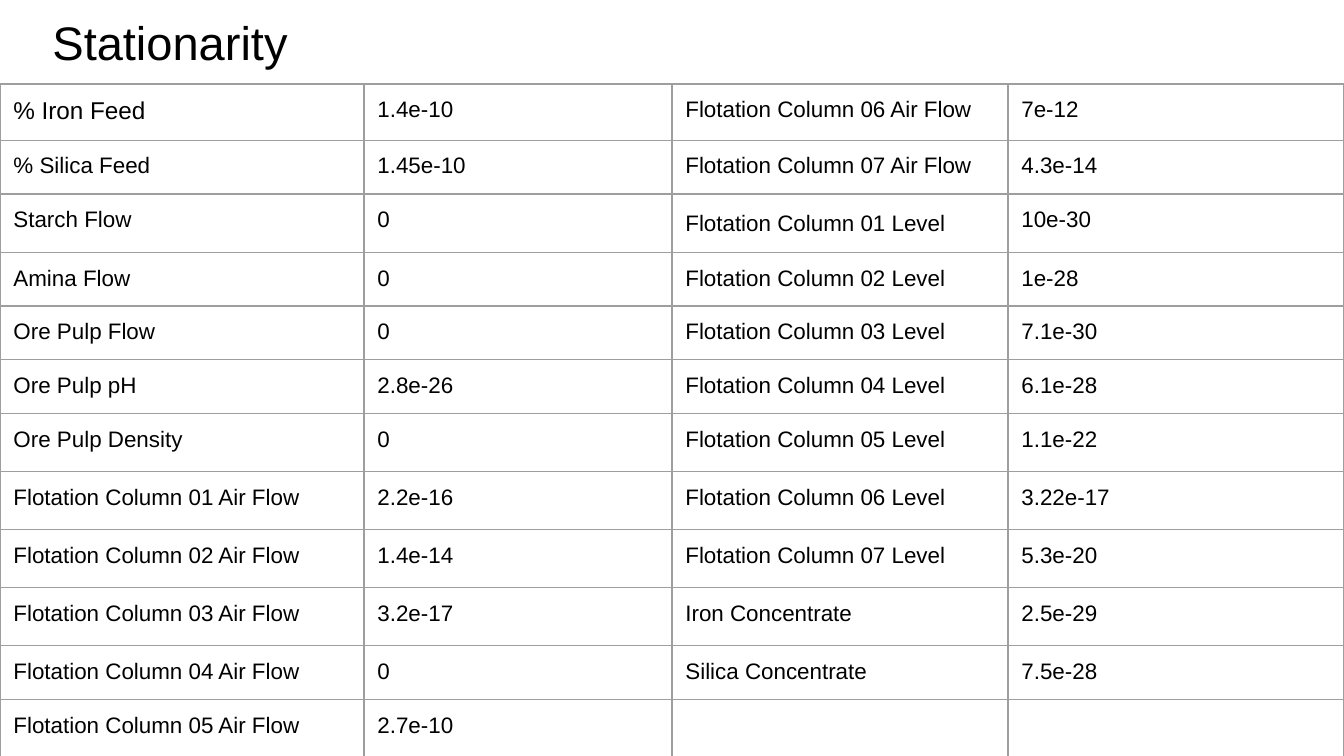
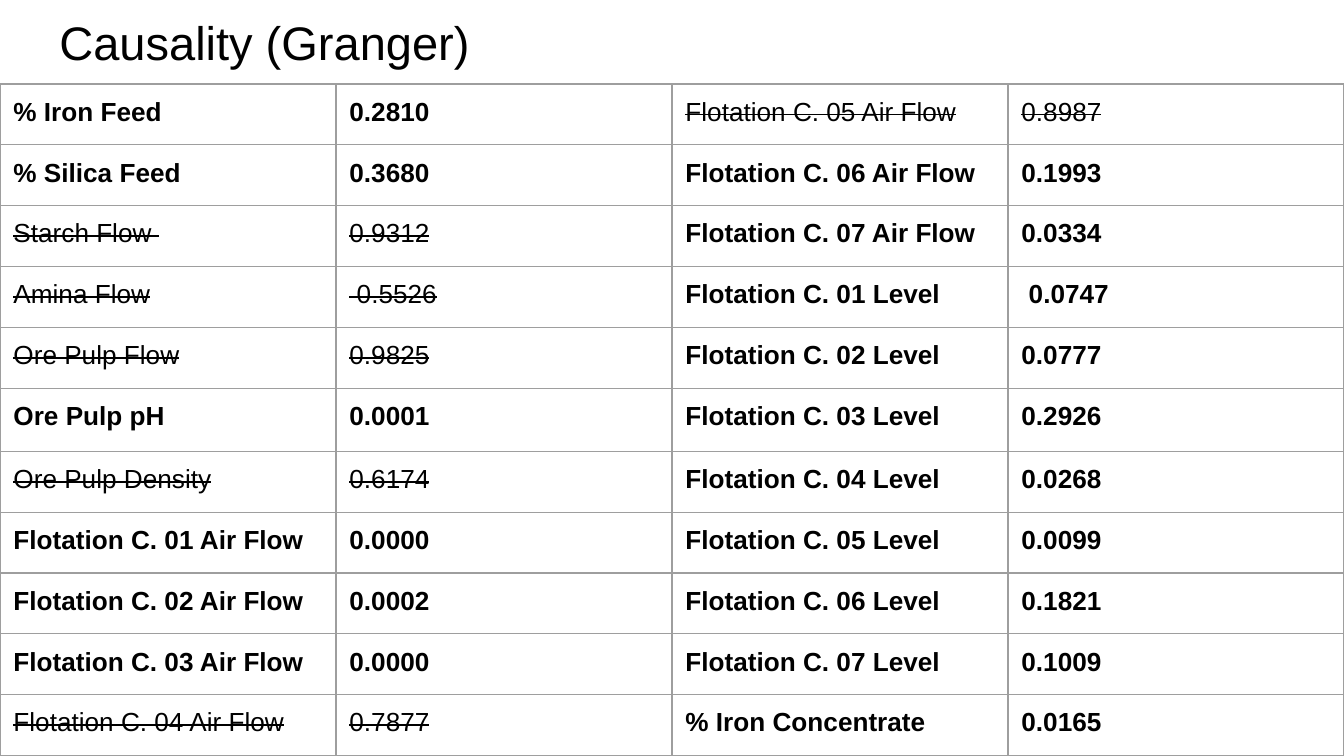
from dataclasses import dataclass
from itertools import product

from lxml.etree import SubElement
from pptx import Presentation
from pptx.dml.color import RGBColor
from pptx.enum.text import MSO_ANCHOR as Anchor
from pptx.oxml.ns import qn
from pptx.util import Pt


@dataclass(frozen=True)
class Theme:
    font: str = "Arial"
    text: str = "000000"
    border: str = "9E9E9E"
    border_width: float = 0.75
    title_size: float = 25.2
    tail_size: float = 14
    inset: float = 7.2
    table_top: float = 45


@dataclass(frozen=True)
class Cell:
    text: str = ""
    size: float = 12
    bold: bool = False
    strike: bool = False
    tail: str = ""  # closing text in the larger tail size


@dataclass(frozen=True)
class TableSlide:
    title: str
    title_left: float
    columns: list[float]
    row_heights: list[float]
    rows: list[list[Cell]]


THEME = Theme()
WIDTH, HEIGHT = 720, 405


# Drawing
def style_paragraph(p, size: float, bold: bool = False) -> None:
    p.font.name = THEME.font
    p.font.size = Pt(size)
    p.font.bold = bold
    p.font.color.rgb = RGBColor.from_string(THEME.text)


def set_margins(box) -> None:
    box.margin_left = box.margin_right = Pt(THEME.inset)
    box.margin_top = box.margin_bottom = Pt(THEME.inset)


def add_title(s, text: str, left: float) -> None:
    tf = s.shapes.add_textbox(Pt(left), 0, Pt(671), Pt(THEME.table_top)).text_frame
    set_margins(tf)
    tf.word_wrap = True
    tf.vertical_anchor = Anchor.MIDDLE
    p = tf.paragraphs[0]
    p.add_run().text = text
    style_paragraph(p, THEME.title_size)


def add_borders(cell) -> None:
    tc_pr = cell._tc.get_or_add_tcPr()
    for side in ("lnL", "lnR", "lnT", "lnB"):
        ln = SubElement(tc_pr, qn(f"a:{side}"), w=str(Pt(THEME.border_width)))
        fill = SubElement(ln, qn("a:solidFill"))
        SubElement(fill, qn("a:srgbClr"), val=THEME.border)


def fill_cell(cell, content: Cell) -> None:
    set_margins(cell)
    add_borders(cell)
    cell.fill.background()
    p = cell.text_frame.paragraphs[0]
    style_paragraph(p, content.size, content.bold)
    if content.strike:
        p._p.pPr.find(qn("a:defRPr")).set("strike", "sngStrike")
    if content.text:
        p.add_run().text = content.text
    if content.tail:
        r = p.add_run()
        r.text = content.tail
        r.font.size = Pt(THEME.tail_size)


def add_table_slide(prs, page: TableSlide) -> None:
    s = prs.slides.add_slide(prs.slide_layouts[6])
    add_title(s, page.title, page.title_left)
    n_rows, n_cols = len(page.rows), len(page.columns)
    table = s.shapes.add_table(
        n_rows, n_cols, 0, Pt(THEME.table_top),
        Pt(sum(page.columns)), Pt(sum(page.row_heights)),
    ).table
    table.first_row = table.horz_banding = False
    for column, width in zip(table.columns, page.columns):
        column.width = Pt(width)
    for row, height in zip(table.rows, page.row_heights):
        row.height = Pt(height)
    for i, j in product(range(n_rows), range(n_cols)):
        fill_cell(table.cell(i, j), page.rows[i][j])


# Stationarity: p-values of the unit root test
LOW, TALL = 28.7, 31.1


def stationarity() -> TableSlide:
    left = [
        ("% Silica Feed", "1.45e-10"),
        ("Starch Flow", "0"),
        ("Amina Flow", "0"),
        ("Ore Pulp Flow", "0"),
        ("Ore Pulp pH", "2.8e-26"),
        ("Ore Pulp Density", "0"),
    ]
    air = ["2.2e-16", "1.4e-14", "3.2e-17", "0", "2.7e-10", "7e-12", "4.3e-14"]
    level = ["10e-30", "1e-28", "7.1e-30", "6.1e-28", "1.1e-22", "3.22e-17", "5.3e-20"]
    pairs = left + [
        (f"Flotation Column {n:02} {kind}", value)
        for kind, values in (("Air Flow", air), ("Level", level))
        for n, value in enumerate(values, 1)
    ]
    pairs += [("Iron Concentrate", "2.5e-29"), ("Silica Concentrate", "7.5e-28"), ("", "")]
    cells = [[Cell("% Iron Feed", size=13), Cell("1.4e-10")]]
    cells += [[Cell(name), Cell(value)] for name, value in pairs]
    half = len(cells) // 2
    rows = [a + b for a, b in zip(cells[:half], cells[half:])]
    rows[2][2] = Cell("Flotation Column 01 Level", tail=" ")
    heights = [29.5, LOW, TALL, *[LOW] * 3, *[TALL] * 4, LOW, TALL]
    return TableSlide("Stationarity", 21, [195, 165, 180, 180], heights, rows)


# Causality: variables above the limit are struck out, the rest are bold
P_LIMIT = 0.5


def causality() -> TableSlide:
    pairs = [
        ("% Iron Feed", "0.2810"),
        ("% Silica Feed", "0.3680"),
        ("Starch Flow ", "0.9312"),
        ("Amina Flow", " 0.5526"),
        ("Ore Pulp Flow", "0.9825"),
        ("Ore Pulp pH", "0.0001"),
        ("Ore Pulp Density", "0.6174"),
    ]
    air = ["0.0000", "0.0002", "0.0000", "0.7877", "0.8987", "0.1993", "0.0334"]
    level = [" 0.0747", "0.0777", "0.2926", "0.0268", "0.0099", "0.1821", "0.1009"]
    pairs += [
        (f"Flotation C. {n:02} {kind}", value)
        for kind, values in (("Air Flow", air), ("Level", level))
        for n, value in enumerate(values, 1)
    ]
    pairs.append(("% Iron Concentrate", "0.0165"))
    cells = []
    for pair in pairs:
        rejected = float(pair[1]) > P_LIMIT
        cells.append([Cell(t, 14, bold=not rejected, strike=rejected) for t in pair])
    half = len(cells) // 2
    rows = [a + b for a, b in zip(cells[:half], cells[half:])]
    heights = [*[32.6] * 5, 33.8, *[32.6] * 5]
    return TableSlide("Causality (Granger)", 24.7, [WIDTH / 4] * 4, heights, rows)


def main() -> None:
    prs = Presentation()
    prs.slide_width, prs.slide_height = Pt(WIDTH), Pt(HEIGHT)
    for page in (stationarity(), causality()):
        add_table_slide(prs, page)
    prs.save("out.pptx")


if __name__ == "__main__":
    main()
